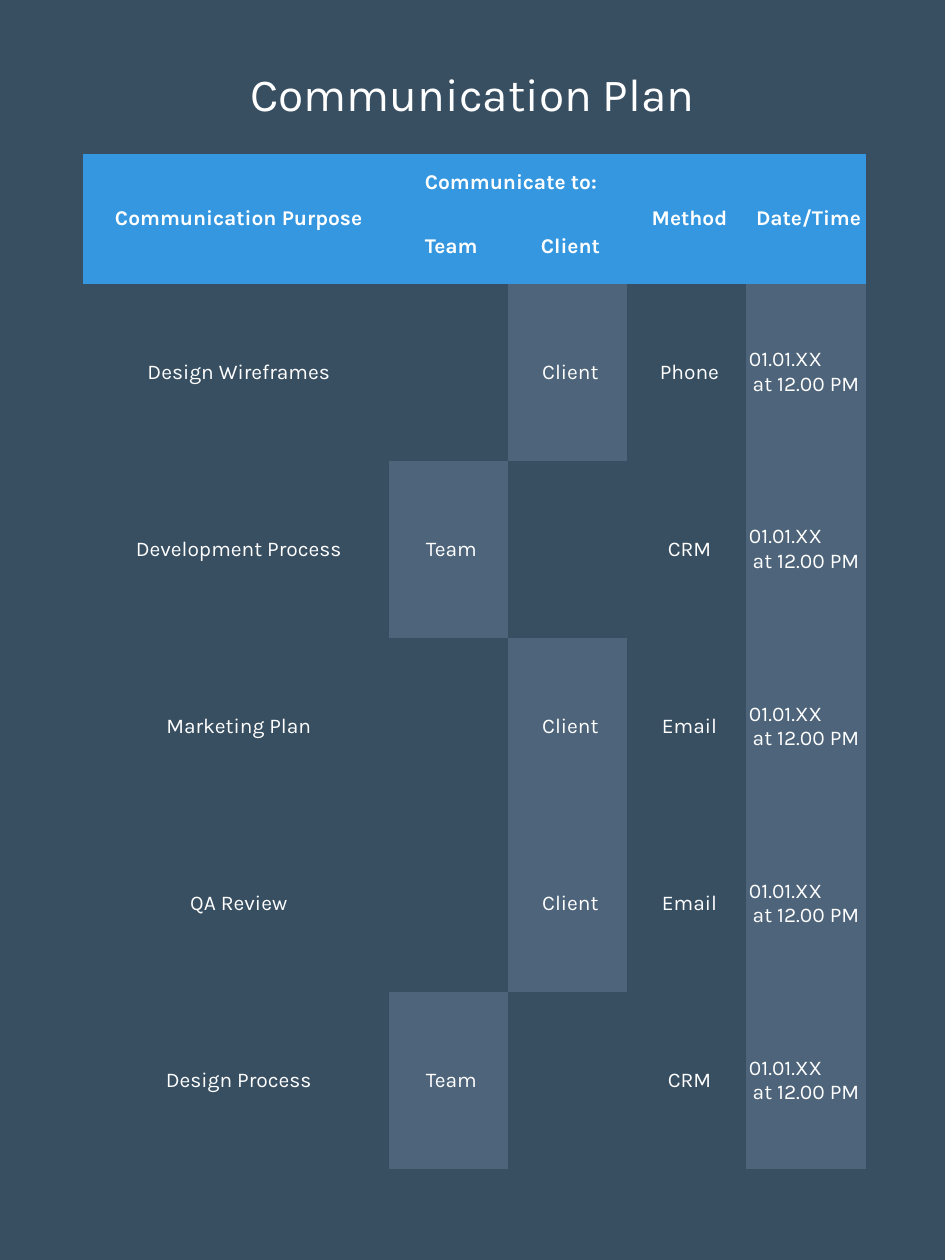
from pptx import Presentation
from pptx.dml.color import RGBColor
from pptx.enum.text import MSO_ANCHOR, PP_ALIGN
from pptx.util import Inches, Pt

CENTER, LEFT = PP_ALIGN.CENTER, PP_ALIGN.LEFT
MIDDLE = MSO_ANCHOR.MIDDLE

NAVY = RGBColor(0x38, 0x4F, 0x62)
SLATE = RGBColor(0x4D, 0x64, 0x7A)
BLUE = RGBColor(0x34, 0x97, 0xDF)
WHITE = RGBColor(0xFF, 0xFF, 0xFF)
FONT = "Karla"
NO_STYLE_NO_GRID = "{2D5ABB26-0587-4C30-8999-92F81FD0307C}"

TABLE_WIDTH, TABLE_HEIGHT = 6.21, 8.06
PURPOSE_WIDTH = 2.43
HEADER_HEIGHTS = [0.45, 0.58]
DATE_TIME = "01.01.XX\vat 12.00 PM"

header_rows = [
    ["Communication Purpose", "Communicate to:", "", "Method", "Date/Time"],
    ["", "Team", "Client", "", ""],
]
plan_rows = [
    ["Design Wireframes", "", "Client", "Phone", DATE_TIME],
    ["Development Process", "Team", "", "CRM", DATE_TIME],
    ["Marketing Plan", "", "Client", "Email", DATE_TIME],
    ["QA Review", "", "Client", "Email", DATE_TIME],
    ["Design Process", "Team", "", "CRM", DATE_TIME],
]
rows = header_rows + plan_rows
column_count = len(rows[0])
SHADED_COLUMNS = (1, 2, 4)


def style_font(paragraph, size, bold=False):
    for run in paragraph.runs:
        run.font.name = FONT
        run.font.size = Pt(size)
        run.font.bold = bold
        run.font.color.rgb = WHITE


presentation = Presentation()
presentation.slide_width = Inches(7.5)
presentation.slide_height = Inches(10)
slide = presentation.slides.add_slide(presentation.slide_layouts[6])
slide.background.fill.solid()
slide.background.fill.fore_color.rgb = NAVY

# Plan table
table_frame = slide.shapes.add_table(
    len(rows), column_count,
    Inches(0.66), Inches(1.22), Inches(TABLE_WIDTH), Inches(TABLE_HEIGHT))
table = table_frame.table
table.first_row = False
table.horz_banding = False
table_properties = table._tbl.tblPr
table_properties[0].text = NO_STYLE_NO_GRID

other_width = (TABLE_WIDTH - PURPOSE_WIDTH) / (column_count - 1)
for index, column in enumerate(table.columns):
    column.width = Inches(other_width if index else PURPOSE_WIDTH)
plan_height = (TABLE_HEIGHT - sum(HEADER_HEIGHTS)) / len(plan_rows)
for row, height in zip(table.rows, HEADER_HEIGHTS + [plan_height] * len(plan_rows)):
    row.height = Inches(height)

for row_index, texts in enumerate(rows):
    is_header = row_index < len(header_rows)
    for column_index, text in enumerate(texts):
        cell = table.cell(row_index, column_index)
        cell.margin_left = cell.margin_right = Inches(0.02)
        cell.margin_top = cell.margin_bottom = Inches(0.02)
        cell.vertical_anchor = MIDDLE
        if is_header:
            cell.fill.solid()
            cell.fill.fore_color.rgb = BLUE
        elif text and column_index in SHADED_COLUMNS:
            cell.fill.solid()
            cell.fill.fore_color.rgb = SLATE
        else:
            cell.fill.background()
        if not text:
            continue
        cell.text = text
        paragraph = cell.text_frame.paragraphs[0]
        is_date = text == DATE_TIME
        paragraph.alignment = LEFT if is_date else CENTER
        indent = Inches(0.03 if is_date else 0.04)
        properties = paragraph._p.get_or_add_pPr()
        properties.set("marL", str(indent))
        properties.set("indent", str(-indent if is_date else 0))
        style_font(paragraph, 12, bold=is_header)

for column_index in (0, 3, 4):
    table.cell(0, column_index).merge(table.cell(1, column_index))
table.cell(0, 1).merge(table.cell(0, 2))

# Title
title = slide.shapes.add_textbox(Inches(0.67), Inches(0.6), Inches(6.16), Inches(0.36))
title_frame = title.text_frame
title_frame.word_wrap = True
title_frame.vertical_anchor = MIDDLE
title_frame.margin_left = title_frame.margin_right = 0
title_frame.margin_top = title_frame.margin_bottom = 0
title_frame.text = "Communication Plan"
title_paragraph = title_frame.paragraphs[0]
title_paragraph.alignment = CENTER
title_paragraph.line_spacing = 0.8
style_font(title_paragraph, 26.3)

presentation.save("out.pptx")
